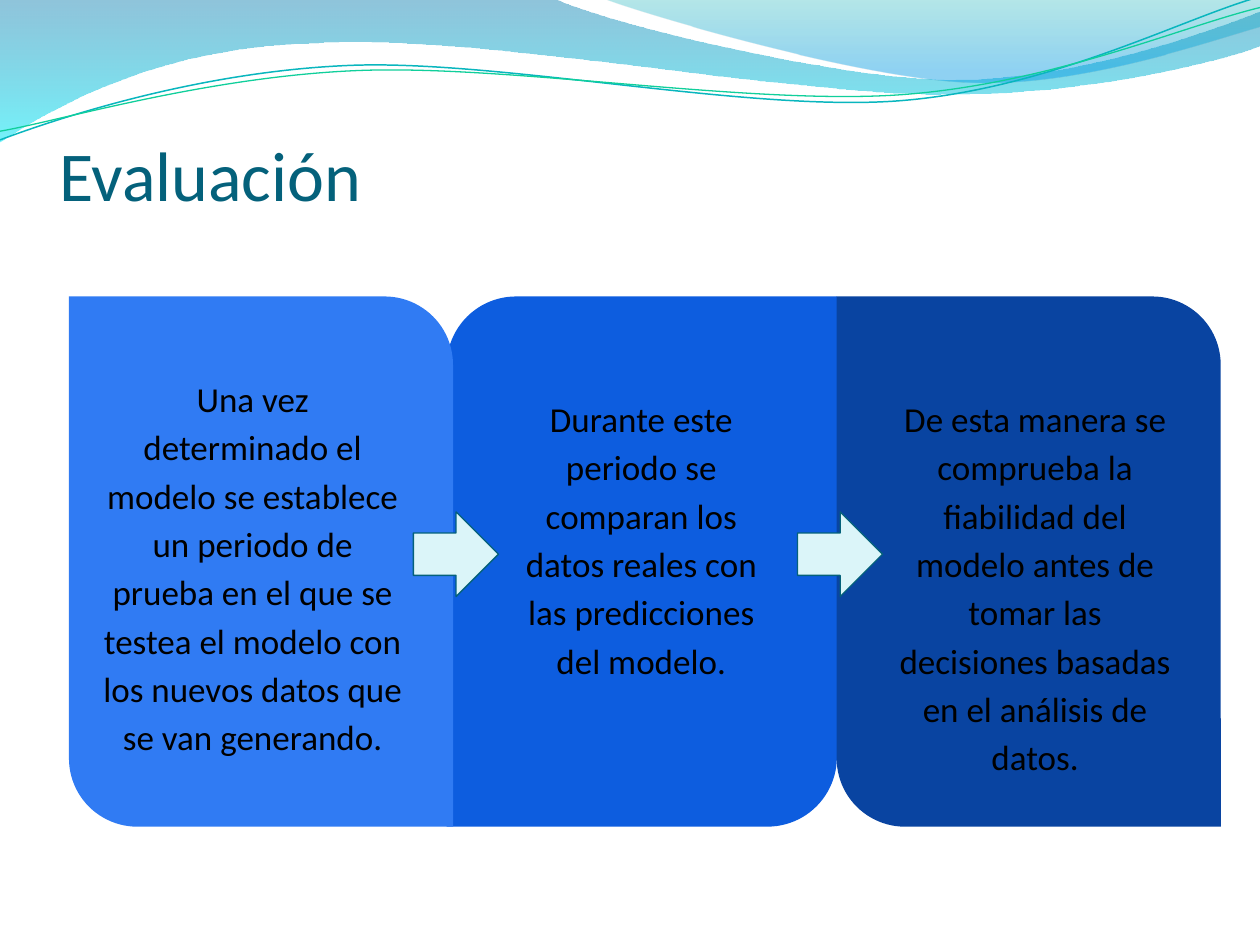
import pptx
import pptx.util
import pptx.dml.color
import pptx.enum.shapes
import pptx.enum.text
import pptx.oxml.ns
import lxml.etree

Pt = pptx.util.Pt
KIND = pptx.enum.shapes.MSO_SHAPE
ALIGN = pptx.enum.text.PP_ALIGN
ANCHOR = pptx.enum.text.MSO_ANCHOR
qn = pptx.oxml.ns.qn

HUES = {
    "title": "04617B", "text": "000000",
    "left": "307BF3", "mid": "0D5DDF", "right": "0944A1",
    "arrow": "DBF5F9", "edge": "04617B",
    "navy": "0079AD", "cyan": "00E9F7",
    "teal": "00ABB4", "sky": "0099E4",
    "aqua": "09B6BE", "green": "10CF9B",
}


def rgb(name):
    return pptx.dml.color.RGBColor.from_string(HUES[name])


class Deck:
    font = "Calibri"

    def __init__(self):
        self.prs = pptx.Presentation()
        self.prs.slide_width, self.prs.slide_height = Pt(720), Pt(540)
        self.slide = self.prs.slides.add_slide(self.prs.slide_layouts[5])
        self.shapes = self.slide.shapes

    def style(self, para, size, hue, align):
        para.alignment = align
        for run in para.runs:
            run.font.name, run.font.size = self.font, Pt(size)
            run.font.color.rgb = rgb(hue)

    def title(self, text, box):
        shape = self.shapes.title
        shape.left, shape.top, shape.width, shape.height = map(Pt, box)
        frame = shape.text_frame
        frame.text = text
        frame.vertical_anchor = ANCHOR.BOTTOM
        frame.margin_left = frame.margin_right = frame.margin_bottom = 0
        frame.margin_top = Pt(3.6)
        self.style(frame.paragraphs[0], 40, "title", ALIGN.LEFT)

    def free(self, start, parts, close):
        """Outline of parts: 2 numbers make a line, 6 a Bézier curve."""
        pts = [(Pt(x), Pt(y)) for part in parts for x, y in zip(part[::2], part[1::2])]
        pen = self.shapes.build_freeform(*map(Pt, start), scale=1.0)
        pen.add_line_segments(pts, close=close)
        shape = pen.convert_to_shape()
        shape.shadow.inherit = False
        # Join each three line ends of a curve into one Bézier segment
        lines = shape._element.spPr.iter(qn("a:lnTo"))
        lines = iter(list(lines))
        for part in parts:
            first = next(lines)
            if len(part) == 6:
                first.tag = qn("a:cubicBezTo")
                for _ in range(2):
                    line = next(lines)
                    first.append(line[0])
                    line.getparent().remove(line)
        return shape

    def wave(self, start, parts, stops):
        shape = self.free(start, parts, True)
        shape.line.fill.background()
        shape.fill.gradient()
        shape.fill.gradient_angle = 270
        for stop, (pos, hue, _) in zip(shape.fill.gradient_stops, stops):
            stop.position, stop.color.rgb = pos, rgb(hue)
        marks = shape._element.spPr.iter(qn("a:srgbClr"))
        for mark, (_, _, alpha) in zip(marks, stops):
            lxml.etree.SubElement(mark, qn("a:alpha")).set("val", str(alpha * 1000))

    def curve(self, start, parts, hue, width):
        shape = self.free(start, parts, False)
        shape.rotation = 357.3
        shape.fill.background()
        shape.line.color.rgb, shape.line.width = rgb(hue), Pt(width)

    def shape(self, kind, box, hue, adjust, edge=None):
        shape = self.shapes.add_shape(kind, *map(Pt, box))
        shape.shadow.inherit = False
        shape.adjustments[0], shape.adjustments[1] = adjust
        shape.fill.solid()
        shape.fill.fore_color.rgb = rgb(hue)
        if edge:
            shape.line.color.rgb, shape.line.width = rgb(edge), Pt(0.75)
        else:
            shape.line.fill.background()

    def label(self, text, box):
        frame = self.shapes.add_textbox(*map(Pt, box)).text_frame
        frame.word_wrap = True
        frame.margin_left = frame.margin_right = Pt(7.2)
        frame.margin_top = frame.margin_bottom = Pt(7.2)
        frame.text = text
        para = frame.paragraphs[0]
        para.line_spacing = 1.15
        self.style(para, 20, "text", ALIGN.CENTER)


def main():
    deck = Deck()

    # Waves along the top
    deck.wave((0, 0), [
        (316.8, -0.7), (342.7, 12.2, 478.1, 45.4, 545.8, 45.4),
        (614.2, 45.4, 689.8, 18.7, 720, 6.5), (720.7, 25.9),
        (707.8, 31.7, 626.4, 54.7, 537.1, 54), (447.8, 54, 275, 20.2, 185, 24.5),
        (92.2, 25.9, 33.1, 59.8, -0.7, 81.4),
    ], [(0, "navy", 44), (1, "cyan", 55)])
    deck.wave((344.9, -0.7), [
        (366.5, 7.9, 491, 44.6, 553.7, 46.8),
        (616.3, 49.7, 691.9, 23, 720, 15.1), (720, 0),
    ], [(0, "teal", 29), (0.8, "sky", 44)])

    # Thin tilted curves under the waves
    deck.curve((-1.4, 63), [
        (33.8, 51.7, 114.1, 29.4, 199.8, 29.9), (284.9, 30.3, 425.8, 67.3, 512.4, 64.9),
        (599, 62.4, 676.5, 25.7, 720.2, 15.5),
    ], "aqua", 0.85)
    deck.curve((-1.1, 58), [
        (32.9, 53.8, 118.3, 32.5, 204.1, 33), (290.6, 33.4, 428.9, 63.8, 515.5, 61.4),
        (601.4, 58.9, 676.3, 30, 721.4, 21.3),
    ], "green", 0.75)

    deck.title("Evaluación", (33.8, 67.7, 648, 55.4))

    # Cards: left, width, hue, rounded corners, text, text box
    cards = [
        (255.2, 223, "mid", (0.178, 0),
         "Durante este periodo se comparan los datos reales con las "
         "predicciones del modelo.", (283.3, 216.3, 166.3, 234)),
        (39.4, 219.5, "left", (0, 0.178),
         "Una vez determinado el modelo se establece un periodo de prueba en el "
         "que se testea el modelo con los nuevos datos que se van generando.",
         (50.4, 205, 187.9, 236.9)),
        (478.1, 219.5, "right", (0, 0.178),
         "De esta manera se comprueba la fiabilidad del modelo antes de tomar "
         "las decisiones basadas en el análisis de datos.",
         (503.3, 216.3, 176.4, 176.4)),
    ]
    for left, width, hue, bend, text, box in cards:
        deck.shape(KIND.ROUND_2_DIAG_RECTANGLE, (left, 169.4, width, 303), hue, bend)
        deck.label(text, box)

    # Arrows between the cards
    for i in range(2):
        deck.shape(KIND.RIGHT_ARROW, (236.2 + i * 219.5, 292.5, 48.6, 48.4),
                   "arrow", (0.5, 0.5), "edge")

    deck.prs.save("out.pptx")


if __name__ == "__main__":
    main()
